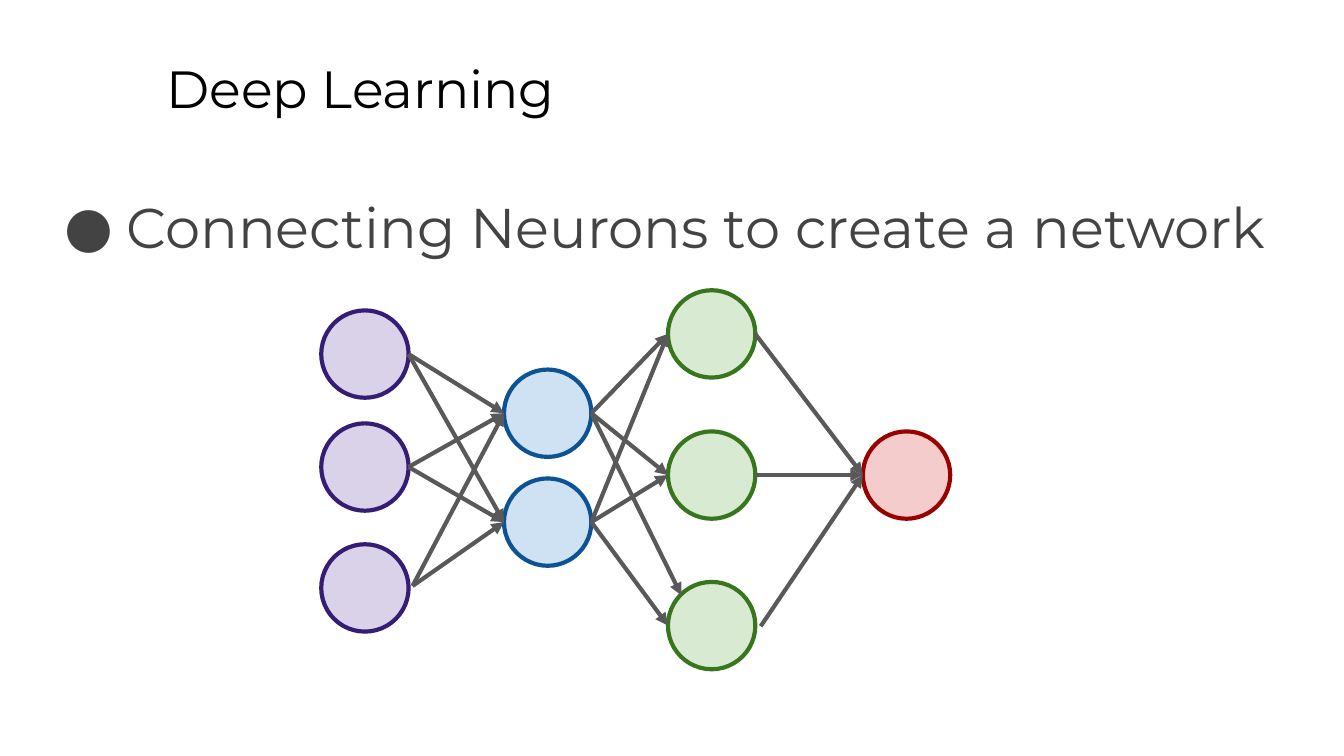
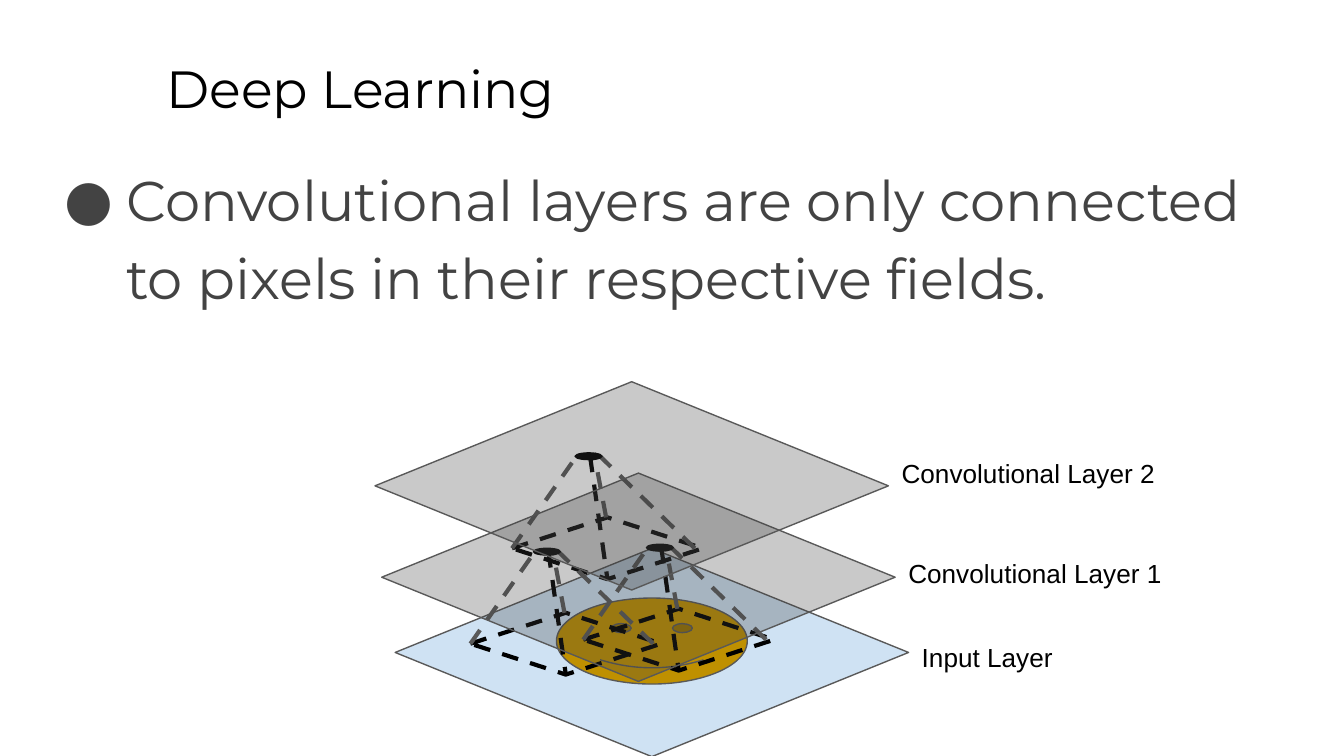
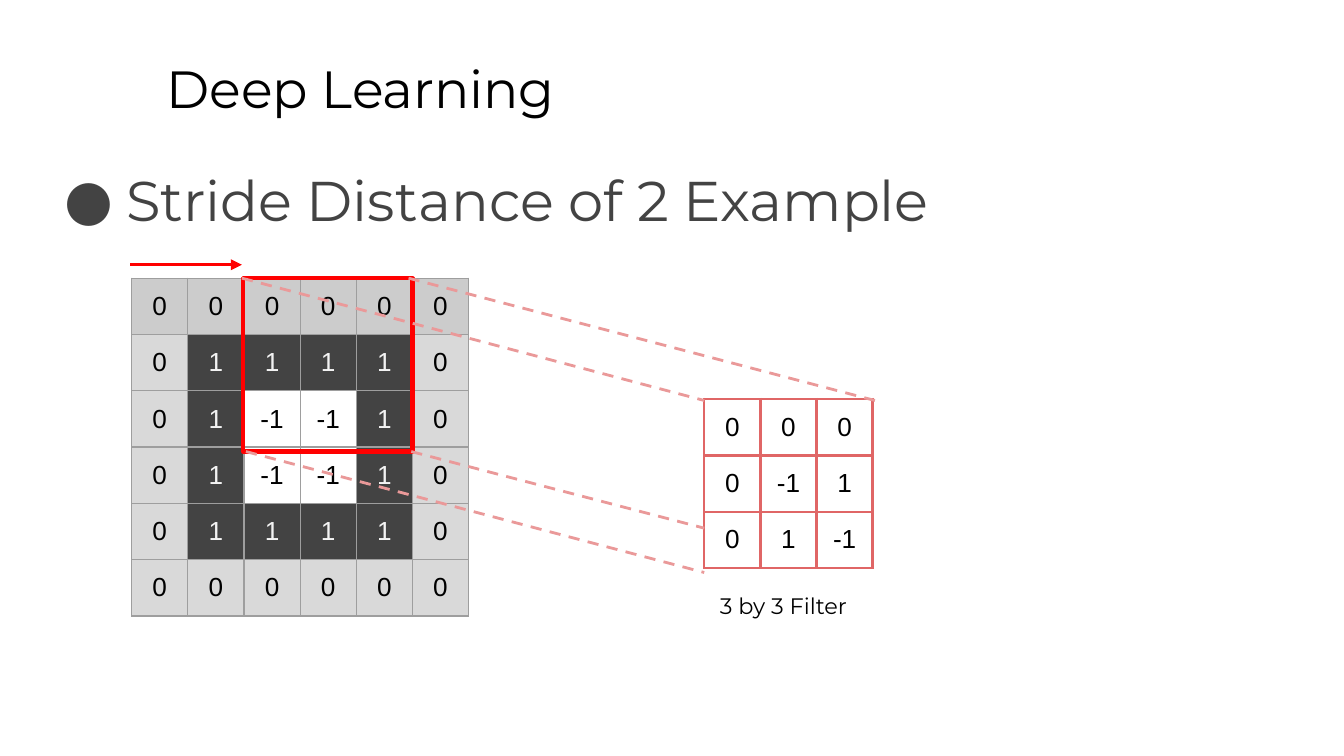
from lxml import etree
from pptx import Presentation
from pptx import util as u
from pptx.dml.color import RGBColor
from pptx.enum import dml, shapes, text
from pptx.oxml.ns import qn

# Grid: 100 columns by 56.25 rows, in squares of 0.1 inch
COLS, ROWS, SQUARE = 100, 56.25, 0.1
SANS, HEAD = "Arial", "Montserrat"
BLACK, DARK, GREY, RED, PINK = "000000", "434343", "595959", "FF0000", "EA9999"
KIND = shapes.MSO_SHAPE
LEFT, MID = text.PP_ALIGN.LEFT, text.PP_ALIGN.CENTER
TITLE = {"size": 28, "name": HEAD, "color": BLACK}
BODY = {"size": 30, "name": HEAD, "color": DARK}
LABEL = {"size": 14, "name": SANS, "color": BLACK}
NOTE = {"size": 12, "name": HEAD, "color": BLACK}


def grid(*counts):
    return [u.Inches(n * SQUARE) for n in counts]


def paint(code):
    return RGBColor.from_string(code)


def node(parent, tag, **attrs):
    """Add a drawing element to the end of its parent."""
    item = etree.SubElement(parent, qn("a:" + tag))
    for key, value in attrs.items():
        item.set(key, str(value))
    return item


# Text
def style(font, look):
    values = {"size": u.Pt(look["size"]), "name": look["name"]}
    for key, value in values.items():
        setattr(font, key, value)
    font.color.rgb = paint(look["color"])


def write(frame, words, look, align=LEFT):
    pad = u.Inches(0.1)
    values = {"margin_left": pad, "margin_right": pad, "margin_top": pad,
              "margin_bottom": pad, "word_wrap": True,
              "auto_size": text.MSO_AUTO_SIZE.NONE,
              "vertical_anchor": text.MSO_ANCHOR.TOP}
    for key, value in values.items():
        setattr(frame, key, value)
    para = frame.paragraphs[0]
    para.alignment = align
    run = para.add_run()
    run.text = words
    style(run.font, look)
    return para


def label(slide, box, words, look=LABEL, align=LEFT):
    frame = slide.shapes.add_textbox(*grid(*box)).text_frame
    return write(frame, words, look, align)


def point(slide, box, words):
    para = label(slide, box, words, BODY)
    props = para._p.get_or_add_pPr()
    props.set("marL", str(u.Inches(0.5)))
    props.set("indent", str(u.Inches(-0.46)))
    node(node(props, "buClr"), "srgbClr", val=DARK)
    node(props, "buFont", typeface=HEAD)
    node(props, "buChar", char="●")
    para.line_spacing = 1.15


def page(deck, words, box):
    """Start a slide with the shared title and one bullet point."""
    slide = deck.slides.add_slide(deck.slide_layouts[5])
    head = slide.shapes.title
    head.left, head.top, head.width, head.height = grid(11.4, 3.2, 85.2, 6.3)
    write(head.text_frame, "Deep Learning", TITLE)
    point(slide, box, words)
    return slide


# Shapes and lines
def ink(line, color, width, dash=False):
    line.color.rgb = paint(color)
    line.width = u.Pt(width)
    if dash:
        line.dash_style = dml.MSO_LINE.DASH


def draw(slide, kind, box, fill, edge, width=0.75, dash=False, alpha=None):
    shape = slide.shapes.add_shape(kind, *grid(*box))
    shape.shadow.inherit = False
    if fill:
        shape.fill.solid()
        shape.fill.fore_color.rgb = paint(fill)
    else:
        shape.fill.background()
    if alpha:
        tone = shape._element.spPr.find(qn("a:solidFill"))[0]
        node(tone, "alpha", val=alpha * 1000)
    ink(shape.line, edge, width, dash)


def link(slide, start, end, color, width=2.25, dash=False, arrow=False):
    line = slide.shapes.add_connector(
        shapes.MSO_CONNECTOR.STRAIGHT, *grid(*start, *end))
    ink(line.line, color, width, dash)
    props = line._element.spPr
    if arrow:
        node(props.find(qn("a:ln")), "tailEnd", type="triangle")
    node(props, "effectLst")


# Tables
def table(slide, spot, rows, side, edge, width, tint):
    """Draw square cells; tint gives (fill, text colour) for a cell."""
    high, wide = len(rows), len(rows[0])
    place = grid(*spot, wide * side, high * side)
    chart = slide.shapes.add_table(high, wide, *place).table
    chart.first_row = chart.horz_banding = False
    for r, row in enumerate(rows):
        chart.rows[r].height = grid(side)[0]
        for c, value in enumerate(row):
            chart.columns[c].width = grid(side)[0]
            cell = chart.cell(r, c)
            props = cell._tc.get_or_add_tcPr()
            for tag in ("lnL", "lnR", "lnT", "lnB"):
                line = node(props, tag, w=u.Pt(width))
                node(node(line, "solidFill"), "srgbClr", val=edge)
            fill, color = tint(r, value)
            if fill:
                cell.fill.solid()
                cell.fill.fore_color.rgb = paint(fill)
            else:
                cell.fill.background()
            for name in ("left", "right", "top", "bottom"):
                setattr(cell, "margin_" + name, u.Inches(0.1))
            para = cell.text_frame.paragraphs[0]
            para.alignment = MID
            run = para.add_run()
            run.text = str(value)
            style(run.font, {**LABEL, "color": color})


def shade(row, value):
    if value == 1:
        return DARK, "F3F3F3"
    if value == -1:
        return None, BLACK
    return ("D9D9D9" if row else "CCCCCC"), BLACK


def plain(row, value):
    return None, BLACK


# Slides
def network(deck):
    slide = page(deck, "Connecting Neurons to create a network",
                 (3.4, 12.6, 95.7, 37.4))
    size = 6.5
    layers = [  # left, tops, fill, edge
        (23.9, (23.1, 31.5, 40.5), "D9D2E9", "351C75"),
        (37.5, (27.5, 35.6), "CFE2F3", "0B5394"),
        (49.7, (21.6, 32.1, 43.3), "D9EAD3", "38761D"),
        (64.2, (32.1,), "F4CCCC", "990000"),
    ]
    for left, tops, fill, edge in layers:
        for top in tops:
            draw(slide, KIND.OVAL, (left, top, size, size), fill, edge, 2.25)
    # Ends that sit off the middle of a neuron's side
    starts = {(0, 2): (30.7, 43.6), (2, 2): (56.6, 46.6)}
    ends = {(1, 0, 2): (50.7, 44.3)}
    for n, (one, two) in enumerate(zip(layers, layers[1:])):
        for i, top in enumerate(one[1]):
            start = starts.get((n, i), (one[0] + size, top + size / 2))
            for j, goal in enumerate(two[1]):
                end = ends.get((n, i, j), (two[0], goal + size / 2))
                link(slide, start, end, GREY, arrow=True)


def field(slide, x, y):
    """Draw a dashed receptive field with the neuron above it."""
    draw(slide, KIND.FLOWCHART_DECISION, (x, y, 14.2, 4.6), None, BLACK,
         2.25, True)
    rays = [((0, 2.3), (4.9, -4.7), GREY), ((7, 0), (6.1, -4.8), GREY),
            ((5.8, -4.6), (7.1, 4.6), BLACK),
            ((13.6, 2.3), (6.6, -4.5), GREY)]
    for (a, b), (c, d), color in rays:
        link(slide, (x + a, y + b), (x + c, y + d), color, dash=True)
    draw(slide, KIND.OVAL, (x + 4.7, y - 4.8, 2, 0.5), BLACK, BLACK)


def stack(deck):
    slide = page(deck, "Convolutional layers are only connected to pixels "
                 "in their respective fields.", (3.4, 10.6, 93.2, 6.8))
    sheet = (38.2, 15.5)
    draw(slide, KIND.FLOWCHART_DECISION, (29.4, 40.8, *sheet), "CFE2F3", GREY)
    draw(slide, KIND.SMILEY_FACE, (41.4, 44.5, 14.2, 6.4), "BF9000", GREY)
    for spot in ((38.1, 38.5), (35, 45.6), (43.4, 45.3)):
        field(slide, *spot)
    for spot in ((28.4, 35.2), (27.9, 28.4)):
        draw(slide, KIND.FLOWCHART_DECISION, (*spot, *sheet), "3F3F3F", GREY,
             alpha=28)
    names = [(67.6, 46.7, "Input Layer"),
             (66.6, 40.5, "Convolutional Layer 1"),
             (66.1, 33, "Convolutional Layer 2")]
    for x, y, words in names:
        label(slide, (x, y, 25.6, 5.5), words)


def stride(deck):
    slide = page(deck, "Stride Distance of 2 Example",
                 (3.4, 10.6, 93.2, 6.8))
    side = 4.18
    blank, bar, core = [0] * 6, [0, 1, 1, 1, 1, 0], [0, 1, -1, -1, 1, 0]
    table(slide, (9.8, 20.7), [blank, bar, core, core, bar, blank], side,
          "9E9E9E", 0.75, shade)
    draw(slide, KIND.RECTANGLE, (18.1, 20.7, 12.6, 12.9), None, RED, 2.25)
    table(slide, (52.4, 29.7), [[0, 0, 0], [0, -1, 1], [0, 1, -1]], side,
          "E06666", 1.5, plain)
    label(slide, (51.1, 43.1, 14.4, 4.3), "3 by 3 Filter", NOTE, MID)
    # Window corners projected onto the filter
    rays = [((30.4, 20.7), (65.1, 29.8)), ((18, 20.7), (52.4, 29.8)),
            ((18.3, 33.6), (52.4, 42.6)), ((30.6, 33.6), (52.4, 39.3))]
    for start, end in rays:
        link(slide, start, end, PINK, 1.5, dash=True)
    link(slide, (9.7, 19.7), (18, 19.7), RED, 1.5, arrow=True)


def main():
    deck = Presentation()
    deck.slide_width, deck.slide_height = grid(COLS, ROWS)
    for build in (network, stack, stride):
        build(deck)
    deck.save("out.pptx")


if __name__ == "__main__":
    main()
